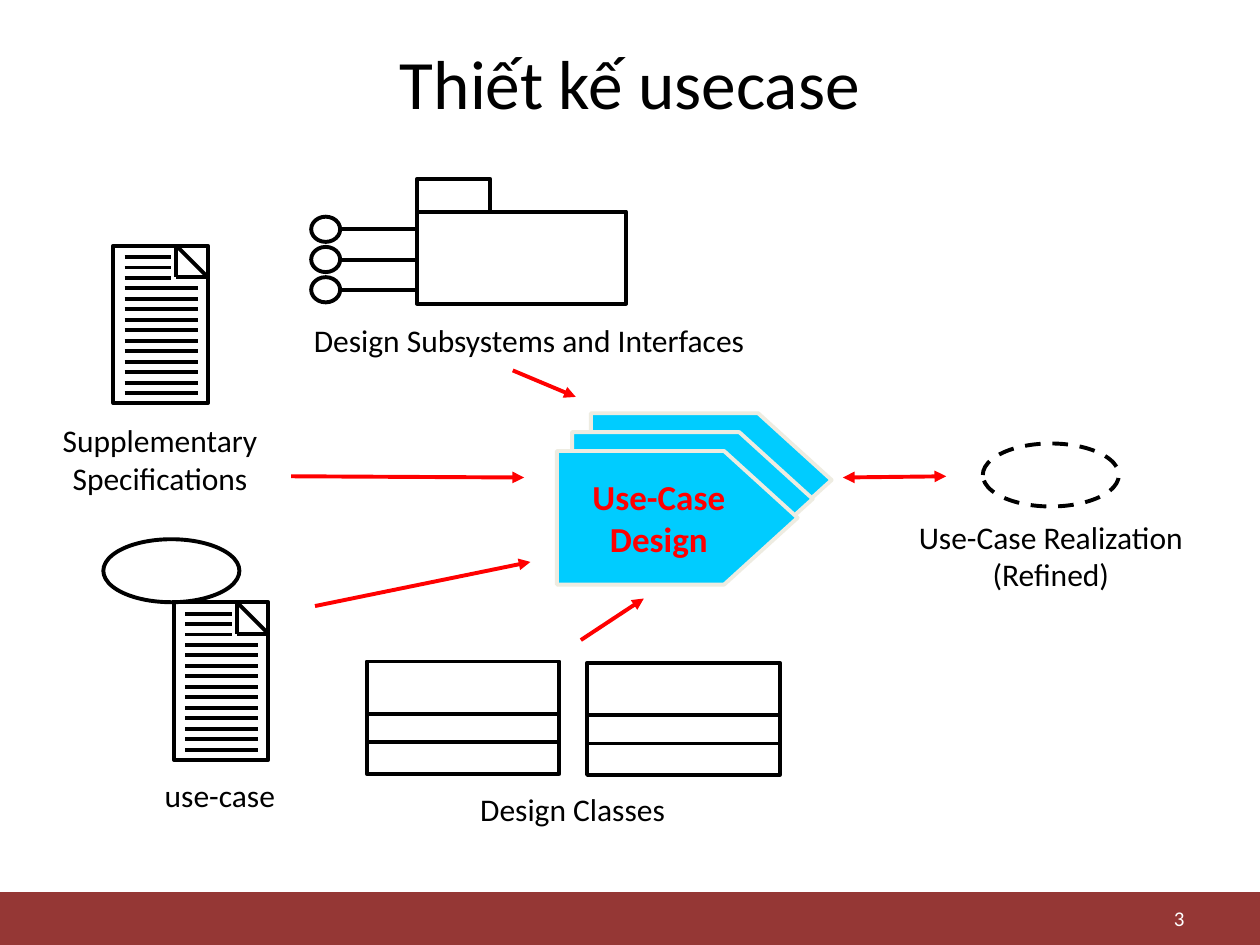
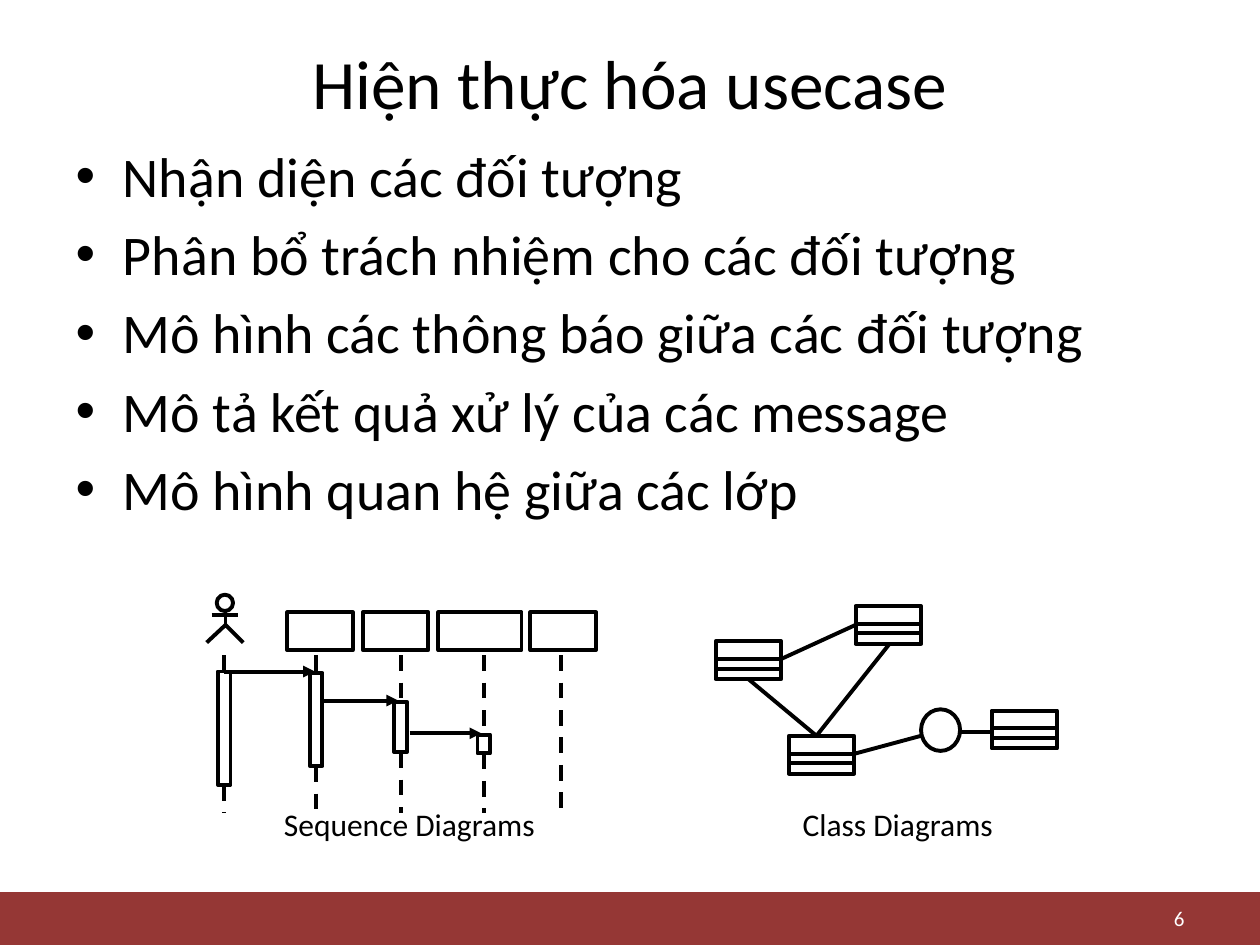
"""Build two slides on use-case design and use-case realization."""
from pptx import Presentation
from pptx.dml.color import RGBColor
from pptx.enum.dml import MSO_LINE
from pptx.enum.shapes import MSO_CONNECTOR, MSO_SHAPE
from pptx.enum.text import MSO_ANCHOR, MSO_AUTO_SIZE, PP_ALIGN
from pptx.oxml.ns import qn
from pptx.util import Inches, Pt
from lxml.etree import SubElement

COLORS = {"ink": "000000", "band": "953735", "paper": "FFFFFF",
          "arrow": "FF0000", "process": "00CCFF", "edge": "EEECE1"}
COLORS = {name: RGBColor.from_string(value) for name, value in COLORS.items()}
FONT = "Calibri"
STROKE = Pt(2.25)


def add_line(page, start, end, color="ink", dashed=False, arrowheads=()):
    line = page.shapes.add_connector(MSO_CONNECTOR.STRAIGHT, *map(Inches, start + end))
    line.line.width = STROKE
    line.line.color.rgb = COLORS[color]
    if dashed:
        line.line.dash_style = MSO_LINE.DASH
    properties = line.element.spPr
    for arrowhead in arrowheads:
        SubElement(properties.get_or_add_ln(), qn(f"a:{arrowhead}")).set("type", "triangle")
    SubElement(properties, qn("a:effectLst"))


def add_figure(page, kind, left, top, width, height, fill=None, edge="ink"):
    figure = page.shapes.add_shape(kind, *map(Inches, (left, top, width, height)))
    figure.shadow.inherit = False
    figure.line.width = STROKE
    figure.line.color.rgb = COLORS[edge]
    if fill:
        figure.fill.solid()
        figure.fill.fore_color.rgb = COLORS[fill]
    else:
        figure.fill.background()
    return figure


deck = Presentation()
deck.slide_width, deck.slide_height = Inches(10), Inches(7.5)
design = deck.slides.add_slide(deck.slide_layouts[5])
realization = deck.slides.add_slide(deck.slide_layouts[1])

band = add_figure(design, MSO_SHAPE.RECTANGLE, 0, 7.08, 10, 0.42, "band")
band.line.fill.background()
band.element.nvSpPr.cNvPr.set("id", "20")
deck.slide_master.shapes.element.insert(2, band.element)

for page, heading, number in ((design, "Thiết kế usecase", "3"),
                              (realization, "Hiện thực hóa usecase", "6")):
    title = page.shapes.title
    title.left, title.top, title.width, title.height = map(Inches, (0.5, 0.3, 9, 0.7))
    title.text_frame.text = heading
    title.text_frame.auto_size = MSO_AUTO_SIZE.NONE
    title.text_frame.vertical_anchor = MSO_ANCHOR.MIDDLE
    para = title.text_frame.paragraphs[0]
    para.alignment = PP_ALIGN.CENTER
    para.font.name, para.font.size = FONT, Pt(39.6)
    para.font.color.rgb = COLORS["ink"]

    box = page.shapes.add_textbox(Inches(7.17), Inches(7.15), Inches(2.33), Inches(0.27))
    box.text_frame.word_wrap = True
    box.text_frame.vertical_anchor = MSO_ANCHOR.MIDDLE
    para = box.text_frame.paragraphs[0]
    para.text = number
    para.alignment = PP_ALIGN.RIGHT
    para.font.name, para.font.size = FONT, Pt(12)
    para.font.color.rgb = COLORS["paper"]

labels = [
    (design, "Supplementary\nSpecifications", 0.33, 3.29, 1.88, 0.7),
    (design, "Use-Case Realization\n(Refined)", 7.03, 4.06, 2.62, 0.7),
    (design, "Design Subsystems and Interfaces", 2.17, 2.5, 4.06, 0.4),
    (design, "Design Classes", 3.38, 6.22, 2.33, 0.4),
    (design, "use-case", 0.74, 6.11, 2.01, 0.4),
    (realization, "Class Diagrams", 6.14, 6.34, 1.97, 0.4),
    (realization, "Sequence Diagrams", 1.55, 6.34, 3.4, 0.4),
]
for page, text, *place in labels:
    box = page.shapes.add_textbox(*map(Inches, place))
    box.text_frame.word_wrap = True
    box.text_frame.text = text
    for para in box.text_frame.paragraphs:
        para.alignment = PP_ALIGN.CENTER
        para.font.name, para.font.size = FONT, Pt(18)
        para.font.color.rgb = COLORS["ink"]

class_boxes = [
    (design, 2.91, 5.25, 1.53, 0.89),
    (design, 4.66, 5.26, 1.53, 0.89),
    (realization, 5.68, 5.09, 0.52, 0.3),
    (realization, 6.79, 4.81, 0.52, 0.3),
    (realization, 6.26, 5.84, 0.52, 0.3),
    (realization, 7.87, 5.64, 0.52, 0.3),
]
for page, left, top, width, height in class_boxes:
    add_figure(page, MSO_SHAPE.RECTANGLE, left, top, width, height)
    for share in (0.47, 0.72):
        divider = top + share * height
        add_line(page, (left, divider), (left + width, divider))

for left, top in ((0.9, 1.95), (1.38, 4.78)):
    right, fold = left + 0.75, left + 0.5
    add_figure(design, MSO_SHAPE.RECTANGLE, left, top, 0.75, 1.25)
    add_line(design, (fold, top), (right, top + 0.25))
    add_line(design, (fold, top), (fold, top + 0.25))
    add_line(design, (right, top + 0.25), (fold, top + 0.25))
    for row in range(14):
        row_top = top + 0.09 + row * 1.08 / 13
        row_width = 0.37 if row < 3 else 0.58
        add_line(design, (left + 0.09, row_top), (left + 0.09 + row_width, row_top))

add_figure(design, MSO_SHAPE.OVAL, 0.82, 4.28, 1.08, 0.5)
refined = add_figure(design, MSO_SHAPE.OVAL, 7.8, 3.52, 1.08, 0.5)
refined.line.dash_style = MSO_LINE.DASH

add_figure(design, MSO_SHAPE.RECTANGLE, 3.31, 1.68, 1.66, 0.73)
add_figure(design, MSO_SHAPE.RECTANGLE, 3.31, 1.42, 0.58, 0.26)
for top in (1.72, 1.96, 2.2):
    add_figure(design, MSO_SHAPE.OVAL, 2.47, top, 0.23, 0.2)
    add_line(design, (2.7, top + 0.1), (3.31, top + 0.1))

for left, top in ((4.69, 3.28), (4.54, 3.43), (4.42, 3.58)):
    process = add_figure(design, MSO_SHAPE.PENTAGON, left, top, 1.91, 1.06, "process", "edge")
    process.adjustments[0] = 0.55
process.text_frame.text = "Use-Case\nDesign"
process.text_frame.word_wrap = False
process.text_frame.vertical_anchor = MSO_ANCHOR.MIDDLE
for para in process.text_frame.paragraphs:
    para.alignment = PP_ALIGN.CENTER
    para.font.name, para.font.size, para.font.bold = FONT, Pt(20), True
    para.font.color.rgb = COLORS["arrow"]

inputs = [((2.5, 4.81), (4.21, 4.46)), ((2.31, 3.78), (4.16, 3.79)),
          ((4.61, 5.08), (5.11, 4.75)), ((4.07, 2.94), (4.57, 3.15))]
for start, end in inputs:
    add_line(design, start, end, "arrow", arrowheads=["tailEnd"])
add_line(design, (6.69, 3.79), (7.51, 3.78), "arrow", arrowheads=["headEnd", "tailEnd"])

body = realization.placeholders[1]
body.left, body.top, body.width, body.height = map(Inches, (0.5, 1.07, 9, 5.63))
body.text_frame.text = "\n".join([
    "Nhận diện các đối tượng",
    "Phân bổ trách nhiệm cho các đối tượng",
    "Mô hình các thông báo giữa các đối tượng",
    "Mô tả kết quả xử lý của các message",
    "Mô hình quan hệ giữa các lớp",
])
body.text_frame.auto_size = MSO_AUTO_SIZE.NONE
for para in body.text_frame.paragraphs:
    para.font.name, para.font.size = FONT, Pt(32)
    para.font.color.rgb = COLORS["ink"]
body.text_frame.paragraphs[0].space_before = Pt(0)

associations = [((6.48, 5.84), (5.94, 5.39)), ((6.2, 5.23), (6.79, 4.96)),
                ((6.79, 5.98), (7.31, 5.84)), ((6.48, 5.84), (7.06, 5.11)),
                ((7.62, 5.81), (7.87, 5.81))]
for start, end in associations:
    add_line(realization, start, end)
add_figure(realization, MSO_SHAPE.OVAL, 7.31, 5.63, 0.31, 0.33)

add_figure(realization, MSO_SHAPE.OVAL, 1.72, 4.72, 0.13, 0.13)
add_line(realization, (1.79, 4.84), (1.79, 4.96))
add_line(realization, (1.68, 4.88), (1.89, 4.88))
outline = realization.shapes.build_freeform(Inches(1.64), Inches(5.1))
outline.add_line_segments([(Inches(1.79), Inches(4.96)), (Inches(1.93), Inches(5.1))], close=False)
legs = outline.convert_to_shape()
legs.shadow.inherit = False
legs.fill.background()
legs.line.width = STROKE
legs.line.color.rgb = COLORS["ink"]

for left, width in ((2.28, 0.52), (2.88, 0.52), (3.48, 0.66), (4.21, 0.52)):
    add_figure(realization, MSO_SHAPE.RECTANGLE, left, 4.86, width, 0.3)

activations = [(1.78, 5.33, 6.23), (2.51, 5.34, 6.08), (3.18, 5.57, 5.97), (3.84, 5.83, 5.98)]
for center, top, bottom in activations:
    add_line(realization, (center, 5.2), (center, top), dashed=True)
    add_figure(realization, MSO_SHAPE.RECTANGLE, center - 0.05, top, 0.1, bottom - top)
    add_line(realization, (center, bottom), (center, 6.45), dashed=True)
add_line(realization, (4.45, 5.2), (4.45, 6.45), dashed=True)

for start, end, height in ((1.78, 2.5, 5.33), (2.55, 3.16, 5.56), (3.25, 3.82, 5.82)):
    add_line(realization, (start, height), (end, height), arrowheads=["tailEnd"])

deck.save("out.pptx")
